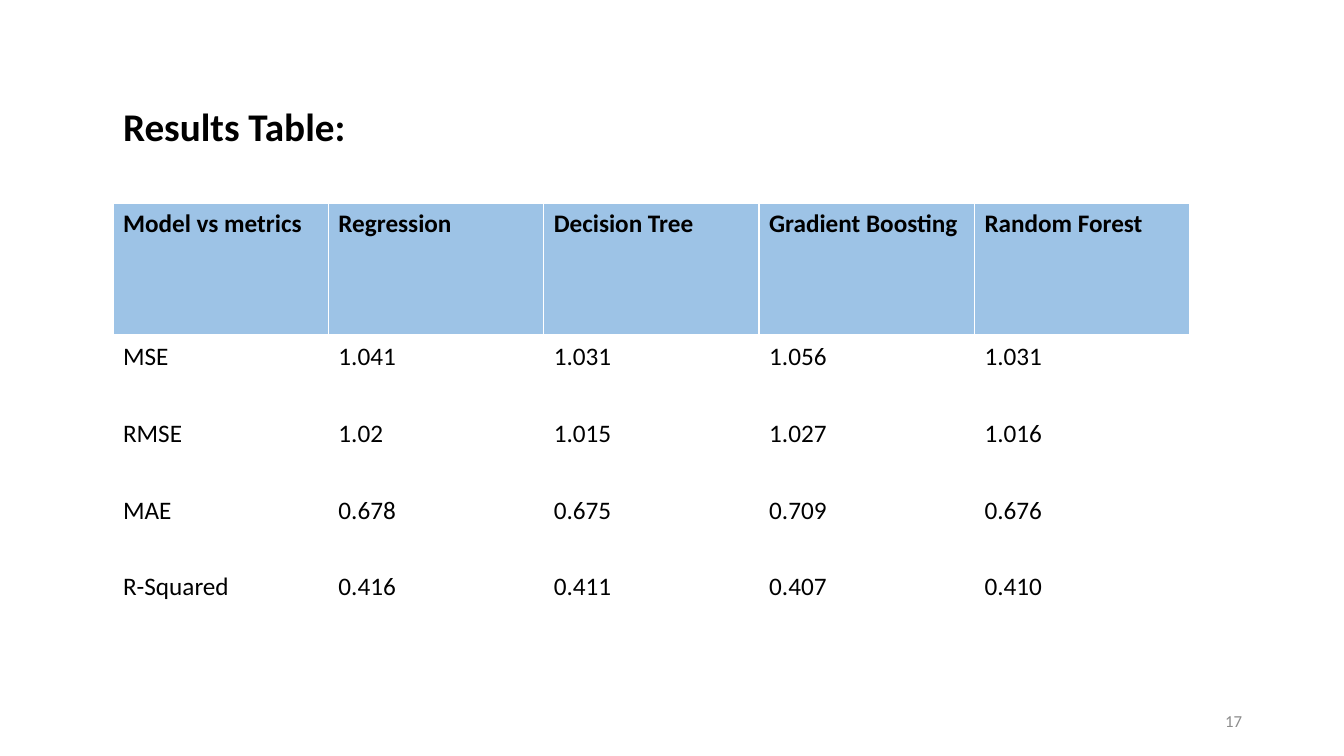
from dataclasses import dataclass

from lxml.etree import SubElement
from pptx import Presentation
from pptx.dml.color import RGBColor
from pptx.enum.text import MSO_ANCHOR as Anchor, MSO_AUTO_SIZE as AutoSize, PP_ALIGN as Align
from pptx.oxml.ns import qn
from pptx.shapes.autoshape import Shape
from pptx.slide import Slide
from pptx.table import _Cell as Cell
from pptx.text.text import TextFrame
from pptx.util import Emu, Pt

PX_PER_INCH = 100.8
FONT = "Calibri"
BLACK = RGBColor(0x00, 0x00, 0x00)
GREY = RGBColor(0x8C, 0x8C, 0x8C)
WHITE = RGBColor(0xFF, 0xFF, 0xFF)
HEADER_BLUE = RGBColor(0x9D, 0xC3, 0xE6)


@dataclass(frozen=True)
class Frame:
    left: int
    top: int
    width: int
    height: int


@dataclass(frozen=True)
class TextStyle:
    size: int
    color: RGBColor = BLACK
    bold: bool = False
    align: Align = Align.LEFT


@dataclass(frozen=True)
class RowStyle:
    height: int
    fill: RGBColor
    text: TextStyle
    bottom_border: int


TITLE_FRAME = Frame(113, 97, 689, 57)
TABLE_FRAME = Frame(113, 203, 1077, 441)
NUMBER_FRAME = Frame(950, 701, 302, 40)

TITLE_STYLE = TextStyle(28, bold=True)
NUMBER_STYLE = TextStyle(12, GREY, align=Align.RIGHT)
HEADER_ROW = RowStyle(133, HEADER_BLUE, TextStyle(18, bold=True), 3)
BODY_ROW = RowStyle(77, WHITE, TextStyle(18), 1)

RESULTS = [
    ["Model vs metrics", "Regression", "Decision Tree", "Gradient Boosting", "Random Forest"],
    ["MSE", "1.041", "1.031", "1.056", "1.031"],
    ["RMSE", "1.02", "1.015", "1.027", "1.016"],
    ["MAE", "0.678", "0.675", "0.709", "0.676"],
    ["R-Squared", "0.416", "0.411", "0.407", "0.410"],
]


def px(length: int) -> Emu:
    return Emu(round(length * 914400 / PX_PER_INCH))


def place(box: Shape, frame: Frame) -> None:
    box.left, box.top = px(frame.left), px(frame.top)
    box.width, box.height = px(frame.width), px(frame.height)


def write(text_frame: TextFrame, text: str, style: TextStyle) -> None:
    text_frame.text = text
    para = text_frame.paragraphs[0]
    para.alignment = style.align
    font = para.runs[0].font
    font.name, font.size, font.bold = FONT, Pt(style.size), style.bold
    font.color.rgb = style.color


def add_borders(cell: Cell, bottom_width: int) -> None:
    properties = cell._tc.get_or_add_tcPr()
    for side, width in (("L", 1), ("R", 1), ("T", 1), ("B", bottom_width)):
        line = SubElement(properties, qn(f"a:ln{side}"), w=str(Pt(width)))
        SubElement(SubElement(line, qn("a:solidFill")), qn("a:srgbClr"), val=str(WHITE))


def add_title(page: Slide) -> None:
    title = page.shapes.title
    place(title, TITLE_FRAME)
    write(title.text_frame, "Results Table:", TITLE_STYLE)
    title.text_frame.word_wrap = True
    title.text_frame.vertical_anchor = Anchor.TOP
    title.text_frame.auto_size = AutoSize.SHAPE_TO_FIT_TEXT


def add_results(page: Slide) -> None:
    frame = TABLE_FRAME
    table = page.shapes.add_table(
        len(RESULTS), len(RESULTS[0]),
        px(frame.left), px(frame.top), px(frame.width), px(frame.height),
    ).table
    table.horz_banding = False
    for index, values in enumerate(RESULTS):
        style = BODY_ROW if index else HEADER_ROW
        row = table.rows[index]
        row.height = px(style.height)
        for cell, value in zip(row.cells, values):
            write(cell.text_frame, value, style.text)
            # Borders must precede the fill in the cell properties.
            add_borders(cell, style.bottom_border)
            cell.fill.solid()
            cell.fill.fore_color.rgb = style.fill


def add_page_number(page: Slide) -> None:
    frame = NUMBER_FRAME
    box = page.shapes.add_textbox(
        px(frame.left), px(frame.top), px(frame.width), px(frame.height)
    )
    write(box.text_frame, "17", NUMBER_STYLE)
    box.text_frame.word_wrap = True
    box.text_frame.vertical_anchor = Anchor.MIDDLE


def main() -> None:
    deck = Presentation()
    deck.slide_width, deck.slide_height = px(1344), px(756)
    page = deck.slides.add_slide(deck.slide_layouts.get_by_name("Title Only"))
    add_page_number(page)
    add_title(page)
    add_results(page)
    deck.save("out.pptx")


if __name__ == "__main__":
    main()
